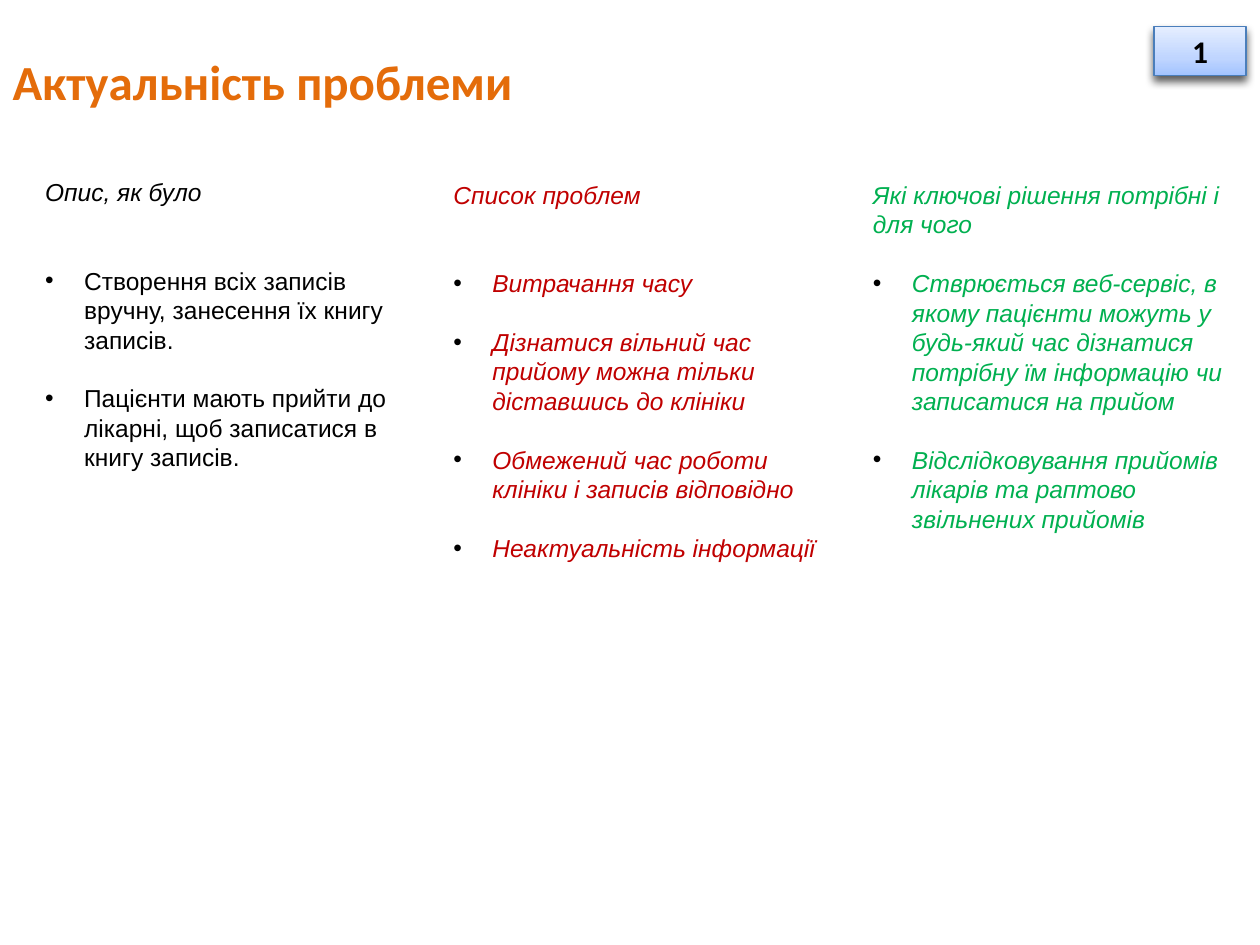
from copy import deepcopy

from lxml import etree
from pptx import Presentation, util as u
from pptx.dml.color import RGBColor
from pptx.enum import shapes, text
from pptx.oxml import ns

BLACK = RGBColor(0, 0, 0)
ORANGE = RGBColor(0xE4, 0x6C, 0x0A)
RED = RGBColor(0xC0, 0, 0)
GREEN = RGBColor(0, 0xB0, 0x50)
EDGE = RGBColor(0x4A, 0x7E, 0xBB)
STOPS = [(0, RGBColor(0xA3, 0xC4, 0xFF)),
         (0.35, RGBColor(0xBF, 0xD5, 0xFF)),
         (1, RGBColor(0xE5, 0xEE, 0xFF))]
LINE = 16.8

COLUMNS = [
    (0.26, 1.36, BLACK, False, 2, "Опис, як було", [
        "Створення всіх записів вручну, занесення їх книгу записів.",
        "Пацієнти мають прийти до лікарні, щоб записатися в книгу записів."]),
    (3.5, 1.38, RED, True, 2, "Список проблем", [
        "Витрачання часу",
        "Дізнатися вільний час прийому можна тільки діставшись до клініки",
        "Обмежений час роботи клініки і записів відповідно",
        "Неактуальність інформації"]),
    (6.83, 1.38, GREEN, True, 1, "Які ключові рішення потрібні і для чого", [
        "Стврюється веб-сервіс, в якому пацієнти можуть у будь-який час "
        "дізнатися потрібну їм інформацію чи записатися на прийом",
        "Відслідковування прийомів лікарів та раптово звільнених прийомів"]),
]


def sub(node, tag, **attrs):
    """Add a DrawingML child element."""
    return etree.SubElement(node, ns.qn("a:" + tag), attrs)


def bullet(para):
    """Give a paragraph a black bullet and a hanging indent."""
    props = para._p.get_or_add_pPr()
    props.set("marL", str(u.Inches(0.31)))
    props.set("indent", str(-u.Inches(0.31)))
    sub(sub(props, "buClr"), "srgbClr", val=str(BLACK))
    sub(props, "buFont", typeface="Arial")
    sub(props, "buChar", char="•")


def write(para, words, size=14, face="Arial", color=BLACK, bold=False,
          slant=False, align=text.PP_ALIGN.LEFT, gap=0, dot=False):
    """Fill a paragraph with formatted text."""
    para.alignment = align
    para.space_before = u.Pt(gap)
    if dot:
        bullet(para)
    run = para.add_run()
    run.text = words
    for font in (para.font, run.font):
        font.size, font.name = u.Pt(size), face
        font.bold, font.italic = bold, slant
        font.color.rgb = color


def heading(slide, words):
    """Place and format the title."""
    title = slide.shapes.title
    title.left, title.top = u.Inches(0), u.Inches(0.21)
    title.width, title.height = u.Inches(9.02), u.Inches(0.86)
    frame = title.text_frame
    frame.vertical_anchor = text.MSO_ANCHOR.MIDDLE
    write(frame.paragraphs[0], words, size=28, face="Calibri",
          color=ORANGE, bold=True)


def badge(slide, words):
    """Draw the shaded page number box."""
    box = slide.shapes.add_shape(
        shapes.MSO_SHAPE.RECTANGLE, u.Inches(9.16), u.Inches(0.21),
        u.Inches(0.73), u.Inches(0.39))
    box.fill.gradient()
    box.fill.gradient_angle = 90
    first = box._element.spPr.find(".//" + ns.qn("a:gs"))
    first.addnext(deepcopy(first))
    for stop, (place, color) in zip(box.fill.gradient_stops, STOPS):
        stop.position, stop.color.rgb = place, color
    box.line.color.rgb, box.line.width = EDGE, u.Pt(0.75)
    box.shadow.inherit = False
    effects = box._element.spPr.find(ns.qn("a:effectLst"))
    shade = sub(effects, "outerShdw", blurRad=str(u.Pt(5)),
                dist=str(u.Pt(3)), dir="5400000", rotWithShape="0")
    sub(sub(shade, "srgbClr", val=str(BLACK)), "alpha", val="63000")
    frame = box.text_frame
    frame.vertical_anchor = text.MSO_ANCHOR.MIDDLE
    write(frame.paragraphs[0], words, size=18, face="Calibri", bold=True,
          align=text.PP_ALIGN.CENTER)


def column(slide, left, top, color, slant, skip, head, items):
    """Write one headed list of points."""
    box = slide.shapes.add_textbox(u.Inches(left), u.Inches(top),
                                   u.Inches(3.1), u.Inches(3.26))
    frame = box.text_frame
    frame.word_wrap = True
    write(frame.paragraphs[0], head, color=color, slant=True)
    for rank, item in enumerate(items):
        write(frame.add_paragraph(), item, color=color, slant=slant,
              gap=LINE if rank else LINE * skip, dot=True)


def main():
    """Build and save the slide."""
    deck = Presentation()
    deck.slide_width, deck.slide_height = u.Inches(10), u.Inches(7.5)
    slide = deck.slides.add_slide(deck.slide_layouts[5])
    heading(slide, "Актуальність проблеми")
    badge(slide, "1")
    for spec in COLUMNS:
        column(slide, *spec)
    deck.save("out.pptx")


if __name__ == "__main__":
    main()
